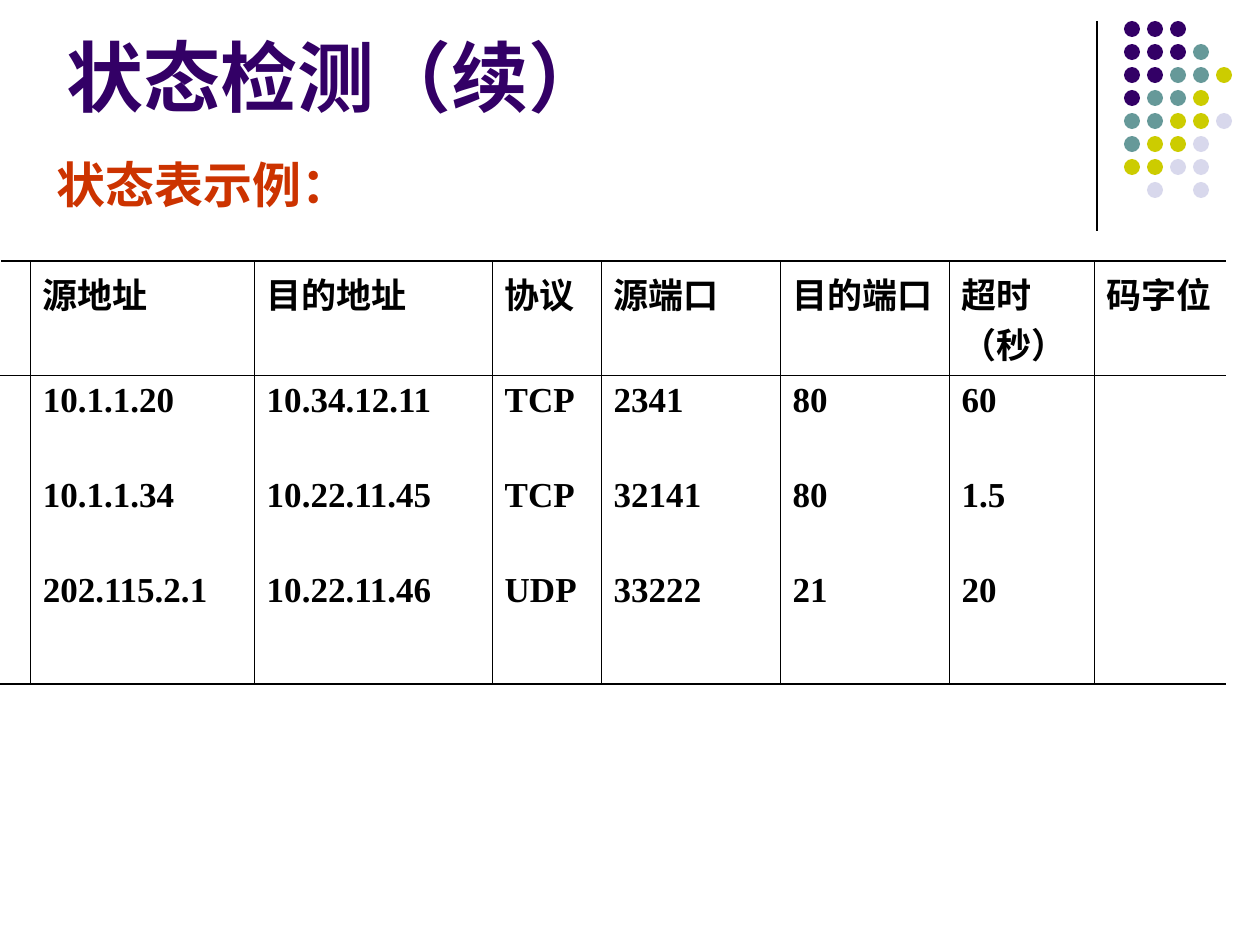
from dataclasses import dataclass

from lxml import etree
from pptx import Presentation
from pptx.dml.color import RGBColor
from pptx.enum.shapes import MSO_CONNECTOR, MSO_SHAPE
from pptx.enum.text import MSO_ANCHOR, MSO_AUTO_SIZE, PP_ALIGN
from pptx.oxml.ns import qn
from pptx.util import Emu, Pt

STRAIGHT = MSO_CONNECTOR.STRAIGHT
OVAL = MSO_SHAPE.OVAL
BOTTOM, TOP = MSO_ANCHOR.BOTTOM, MSO_ANCHOR.TOP
LEFT, JUSTIFY = PP_ALIGN.LEFT, PP_ALIGN.JUSTIFY
NO_AUTOFIT = MSO_AUTO_SIZE.NONE


@dataclass(frozen=True)
class Theme:
    font: str = "Times New Roman"
    ink: str = "000000"
    paper: str = "FFFFFF"
    purple: str = "330066"
    teal: str = "669999"
    lime: str = "CCCC00"
    lilac: str = "D8D8EC"
    red: str = "CC3300"
    title_size: int = 44
    body_size: int = 28
    table_size: int = 20
    thin: float = 0.45
    rule: float = 0.75
    thick: float = 1.08


THEME = Theme()

DOT_COLORS = {"P": THEME.purple, "T": THEME.teal, "Y": THEME.lime, "L": THEME.lilac}
DOT_ROWS = ["PPP", "PPPT", "PPTTY", "PTTY", "TTYYL", "TYYL", "YYLL", ".L.L"]
DOT_LEFT, DOT_TOP, DOT_PITCH, DOT_SIZE = 1124, 21, 23, 16

COLUMN_WIDTHS = [30, 224, 238, 109, 179, 169, 145, 132]
ROW_HEIGHTS = [97, 309]
ENTRY_GAP = 32
HEADERS = ["", "源地址", "目的地址", "协议", "源端口", "目的端口", "超时（秒）", "码字位"]
CONNECTIONS = [
    ["", "10.1.1.20", "10.34.12.11", "TCP", "2341", "80", "60", ""],
    ["", "10.1.1.34", "10.22.11.45", "TCP", "32141", "80", "1.5", ""],
    ["", "202.115.2.1", "10.22.11.46", "UDP", "33222", "21", "20", ""],
]


def px(n):
    return Emu(round(n * 914400 / 126))


def rgb(color):
    return RGBColor.from_string(color)


def write(tf, lines, size, color, align=LEFT, gap=0, spacing=None):
    """Fill a text frame with bold paragraphs, gap points apart."""
    tf.word_wrap = True
    for i, line in enumerate(lines):
        p = tf.paragraphs[0] if i == 0 else tf.add_paragraph()
        p.alignment = align
        p.space_before = Pt(gap if i else 0)
        p.line_spacing = spacing
        r = p.add_run()
        r.text = line
        r.font.name = THEME.font
        r.font.size = Pt(size)
        r.font.bold = True
        r.font.color.rgb = rgb(color)


def fill_placeholder(sp, box, text, anchor, **fmt):
    sp.left, sp.top, sp.width, sp.height = map(px, box)
    tf = sp.text_frame
    tf.auto_size = NO_AUTOFIT
    tf.vertical_anchor = anchor
    pPr = tf.paragraphs[0]._p.get_or_add_pPr()
    pPr.set("marL", "0")
    pPr.set("indent", "0")
    etree.SubElement(pPr, qn("a:buNone"))
    write(tf, [text], **fmt)


def add_rule(s, x, top, bottom):
    line = s.shapes.add_connector(STRAIGHT, px(x), px(top), px(x), px(bottom))
    line.line.color.rgb = rgb(THEME.ink)
    line.line.width = Pt(THEME.rule)
    etree.SubElement(line._element.spPr, qn("a:effectLst"))


def add_dots(s):
    group = s.shapes.add_group_shape()
    for row, codes in enumerate(DOT_ROWS):
        for col, code in enumerate(codes):
            if code not in DOT_COLORS:
                continue
            x, y = DOT_LEFT + col * DOT_PITCH, DOT_TOP + row * DOT_PITCH
            dot = group.shapes.add_shape(OVAL, px(x), px(y), px(DOT_SIZE), px(DOT_SIZE))
            dot.shadow.inherit = False
            dot.fill.solid()
            dot.fill.fore_color.rgb = rgb(DOT_COLORS[code])
            dot.line.fill.background()


def set_borders(cell, borders):
    """Draw (side, color, points) borders; they must precede the cell fill."""
    tcPr = cell._tc.get_or_add_tcPr()
    for i, (side, color, points) in enumerate(borders):
        ln = etree.Element(qn(f"a:ln{side}"), w=str(Pt(points)))
        fill = etree.SubElement(ln, qn("a:solidFill"))
        etree.SubElement(fill, qn("a:srgbClr"), val=color)
        tcPr.insert(i, ln)


def add_state_table(s, left, top):
    n_rows, n_cols = len(ROW_HEIGHTS), len(COLUMN_WIDTHS)
    frame = s.shapes.add_table(n_rows, n_cols, px(left), px(top),
                               px(sum(COLUMN_WIDTHS)), px(sum(ROW_HEIGHTS)))
    table = frame.table
    table.first_row = table.horz_banding = False
    for column, width in zip(table.columns, COLUMN_WIDTHS):
        column.width = px(width)
    for row, height in zip(table.rows, ROW_HEIGHTS):
        row.height = px(height)

    contents = [[[h] for h in HEADERS], list(zip(*CONNECTIONS))]
    for r, row in enumerate(contents):
        for c, lines in enumerate(row):
            cell = table.cell(r, c)
            cell.fill.background()
            set_borders(cell, [
                ("L", THEME.paper if c == 0 else THEME.ink, THEME.thin),
                ("R", THEME.paper if c == n_cols - 1 else THEME.ink, THEME.thin),
                ("T", THEME.ink, THEME.thick if r == 0 else THEME.thin),
                ("B", THEME.ink, THEME.thick if r == n_rows - 1 else THEME.thin),
            ])
            if any(lines):
                write(cell.text_frame, lines, THEME.table_size, THEME.ink, gap=ENTRY_GAP)


def main():
    prs = Presentation()
    prs.slide_width, prs.slide_height = px(1260), px(945)
    s = prs.slides.add_slide(prs.slide_layouts[1])
    add_rule(s, 1097, 21, 231)
    add_dots(s)
    fill_placeholder(s.shapes.title, (54, 20, 1040, 108), "状态检测（续）", BOTTOM,
                     size=THEME.title_size, color=THEME.purple)
    fill_placeholder(s.placeholders[1], (44, 155, 556, 674), "状态表示例：", TOP,
                     size=THEME.body_size, color=THEME.red, align=JUSTIFY, spacing=0.9)
    add_state_table(s, 0, 261)
    prs.save("out.pptx")


if __name__ == "__main__":
    main()
